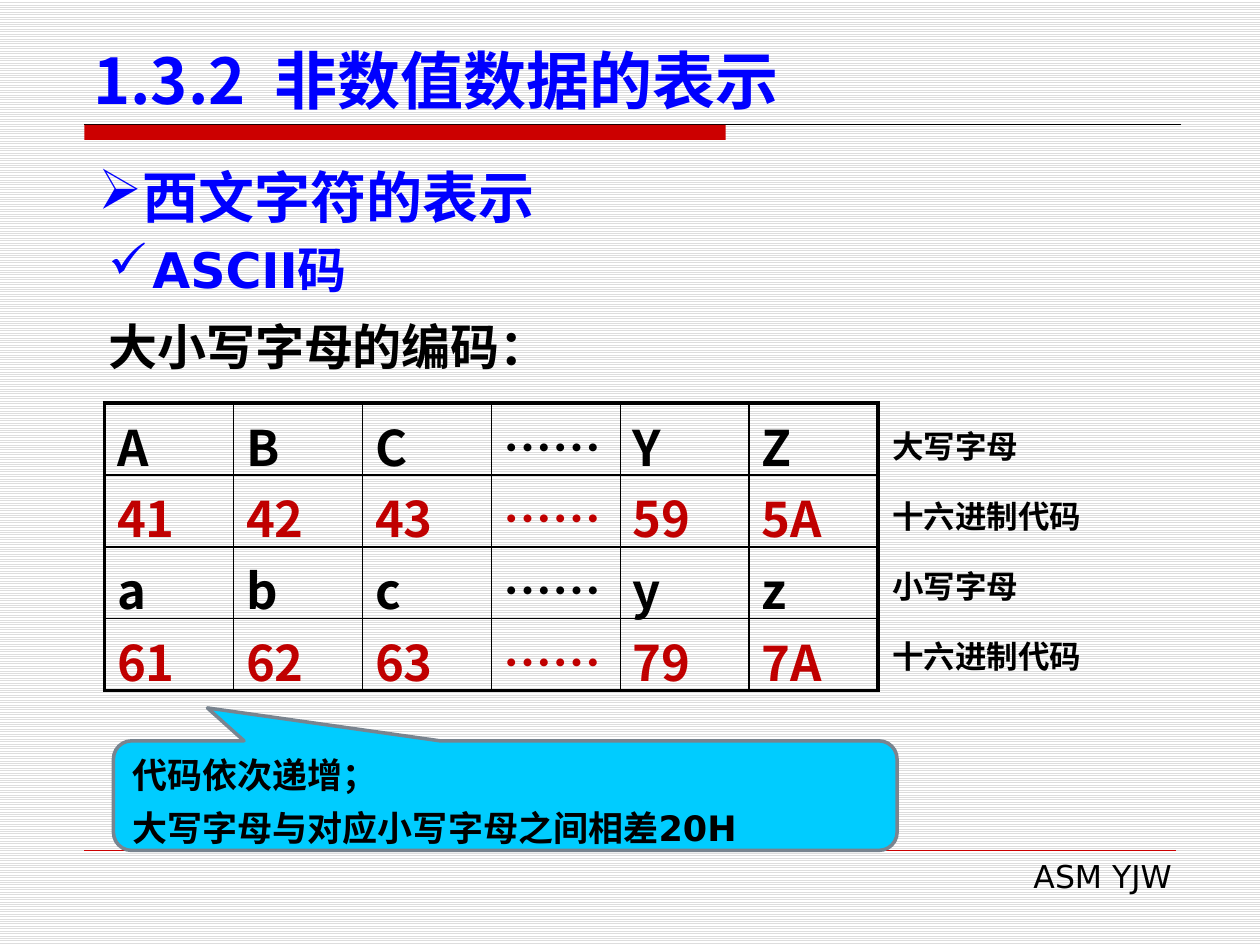
from lxml.etree import SubElement
from pptx import Presentation
from pptx.dml.color import RGBColor
from pptx.enum.dml import MSO_PATTERN
from pptx.enum.shapes import MSO_CONNECTOR, MSO_SHAPE
from pptx.enum.text import MSO_ANCHOR, PP_ALIGN
from pptx.oxml.ns import qn
from pptx.util import Inches, Pt

BLACK = RGBColor(0x00, 0x00, 0x00)
WHITE = RGBColor(0xFF, 0xFF, 0xFF)
STRIPE = RGBColor(0xDD, 0xDD, 0xDD)
BLUE = RGBColor(0x00, 0x00, 0xFF)
RED = RGBColor(0xCC, 0x00, 0x00)
CODE_RED = RGBColor(0xC0, 0x00, 0x00)
CYAN = RGBColor(0x00, 0xCC, 0xFF)
GREY = RGBColor(0x79, 0x84, 0x8F)
SANS, CJK = "DejaVu Sans", "Noto Sans CJK SC"

CODE_ROWS = [
    ("A", "B", "C", "……", "Y", "Z"),
    ("41", "42", "43", "……", "59", "5A"),
    ("a", "b", "c", "……", "y", "z"),
    ("61", "62", "63", "……", "79", "7A"),
]
ROW_LABELS = ("大写字母", "十六进制代码", "小写字母", "十六进制代码")


def inches(*lengths):
    """Turn plain numbers into a box of lengths."""
    return tuple(Inches(length) for length in lengths)


def add_run(paragraph, wording, size, color=BLACK, font=SANS, bold=True):
    """Add one styled run to a paragraph."""
    run = paragraph.add_run()
    run.text = wording
    run.font.size, run.font.bold, run.font.name = Pt(size), bold, font
    run.font.color.rgb = color
    SubElement(run.font._element, qn("a:ea")).set("typeface", CJK)


def set_bullet(paragraph, mark, indent=0):
    """Give a paragraph a bullet with a hanging indent."""
    properties = paragraph._p.get_or_add_pPr()
    properties.set("marL", str(Inches(indent)))
    properties.set("indent", str(-Inches(indent)))
    SubElement(properties, qn("a:buChar")).set("char", mark)


def set_frame(frame, anchor=MSO_ANCHOR.TOP):
    """Set wrapping, insets and anchor, and return the first paragraph."""
    frame.word_wrap = True
    frame.vertical_anchor = anchor
    frame.margin_left = frame.margin_right = Inches(0.11)
    frame.margin_top = frame.margin_bottom = Inches(0.06)
    return frame.paragraphs[0]


def add_rule(slide, left, top, width, color, weight):
    """Draw a horizontal rule."""
    rule = slide.shapes.add_connector(MSO_CONNECTOR.STRAIGHT, left, top, left + width, top)
    rule.line.color.rgb = color
    rule.line.width = Pt(weight)
    SubElement(rule._element.spPr, qn("a:effectLst"))


def add_title(slide, box):
    """Place the slide title."""
    frame = slide.shapes.add_textbox(*box).text_frame
    title = set_frame(frame, MSO_ANCHOR.BOTTOM)
    add_run(title, "1.3.2  非数值数据的表示", 36, BLUE, CJK)


def add_title_rule(slide, box):
    """Draw the thick bar and thin rule below the title."""
    left, top, width, height = box
    add_rule(slide, left, top, width, BLACK, 0.75)
    bar = slide.shapes.add_shape(MSO_SHAPE.RECTANGLE, left, top, Inches(5.09), height)
    bar.shadow.inherit = False
    bar.fill.solid()
    bar.fill.fore_color.rgb = RED
    bar.line.fill.background()


def add_footer(slide, box):
    """Place the footer rule and the course mark."""
    add_rule(slide, Inches(0.67), Inches(6.75), Inches(8.66), RED, 0.25)
    mark = set_frame(slide.shapes.add_textbox(*box).text_frame)
    mark.alignment = PP_ALIGN.RIGHT
    add_run(mark, "ASM YJW", 18, bold=False)


def add_heading(slide, box):
    """Place the bulleted section heading."""
    heading = set_frame(slide.shapes.add_textbox(*box).text_frame)
    heading.alignment = PP_ALIGN.JUSTIFY
    set_bullet(heading, "➢")
    add_run(heading, "西文字符的表示", 32, BLUE)


def add_topic(slide, box):
    """Place the topic and the line that introduces the table."""
    frame = slide.shapes.add_textbox(*box).text_frame
    topic, intro = set_frame(frame), frame.add_paragraph()
    for paragraph in (topic, intro):
        paragraph.line_spacing = Pt(32)
        paragraph.space_before = Pt(12)
    set_bullet(topic, "✓", 0.35)
    add_run(topic, "ASCII码", 28, BLUE)
    add_run(intro, "大小写字母的编码：", 28)


def set_borders(cell, outer_sides):
    """Draw the cell borders, heavier on the outer sides."""
    properties = cell._tc.get_or_add_tcPr()
    for side in "LRTB":
        weight = Pt(2.25 if side in outer_sides else 1)
        border = SubElement(properties, qn(f"a:ln{side}"), w=str(weight))
        fill = SubElement(border, qn("a:solidFill"))
        SubElement(fill, qn("a:srgbClr")).set("val", str(BLACK))


def add_code_table(slide, box):
    """Place the table of letters and their codes."""
    last_row, last_column = len(CODE_ROWS) - 1, len(CODE_ROWS[0]) - 1
    table = slide.shapes.add_table(last_row + 1, last_column + 1, *box).table
    table.first_row = table.horz_banding = False
    for r, entries in enumerate(CODE_ROWS):
        for c, entry in enumerate(entries):
            cell = table.cell(r, c)
            edges = {"L": c == 0, "R": c == last_column, "T": r == 0, "B": r == last_row}
            set_borders(cell, [side for side, outer in edges.items() if outer])
            cell.fill.background()
            color = CODE_RED if r % 2 else BLACK
            add_run(cell.text_frame.paragraphs[0], entry, 28, color, CJK)


def add_row_labels(slide, box):
    """Place evenly spaced labels beside the table."""
    left, top, width, height = box
    step = height // len(ROW_LABELS)
    for i, label in enumerate(ROW_LABELS):
        frame = slide.shapes.add_textbox(left, top + i * step, width, Inches(0.41)).text_frame
        add_run(set_frame(frame), label, 18)


def add_callout(slide, box):
    """Place the callout that explains the codes."""
    callout = slide.shapes.add_shape(MSO_SHAPE.ROUNDED_RECTANGULAR_CALLOUT, *box)
    callout.adjustments[0], callout.adjustments[1] = -0.38, -0.8
    callout.shadow.inherit = False
    callout.fill.solid()
    callout.fill.fore_color.rgb = CYAN
    callout.line.color.rgb = GREY
    callout.line.width = Pt(2)
    frame = callout.text_frame
    order, offset = set_frame(frame, MSO_ANCHOR.MIDDLE), frame.add_paragraph()
    for paragraph in (order, offset):
        paragraph.alignment = PP_ALIGN.LEFT
        paragraph.line_spacing = Pt(30)
    add_run(order, "代码依次递增；", 20)
    add_run(offset, "大写字母与对应小写字母之间相差20H", 20)


def add_background(slide):
    """Fill the background with light horizontal stripes."""
    fill = slide.background.fill
    fill.patterned()
    fill.pattern = MSO_PATTERN.LIGHT_HORIZONTAL
    fill.fore_color.rgb = STRIPE
    fill.back_color.rgb = WHITE


def main():
    """Build the slide and save it."""
    deck = Presentation()
    deck.slide_width, deck.slide_height = inches(10, 7.5)
    slide = deck.slides.add_slide(deck.slide_layouts[6])
    add_background(slide)
    add_title_rule(slide, inches(0.67, 0.99, 8.7, 0.12))
    add_footer(slide, inches(3.82, 6.74, 5.59, 0.42))
    add_title(slide, inches(0.63, 0.33, 8.75, 0.66))
    add_code_table(slide, inches(0.83, 3.2, 6.14, 2.28))
    add_topic(slide, inches(0.75, 1.86, 8.98, 1.18))
    add_heading(slide, inches(0.67, 1.23, 8.66, 0.65))
    add_row_labels(slide, inches(6.97, 3.33, 2.6, 2.22))
    add_callout(slide, inches(0.9, 5.88, 6.22, 0.87))
    deck.save("out.pptx")


if __name__ == "__main__":
    main()
